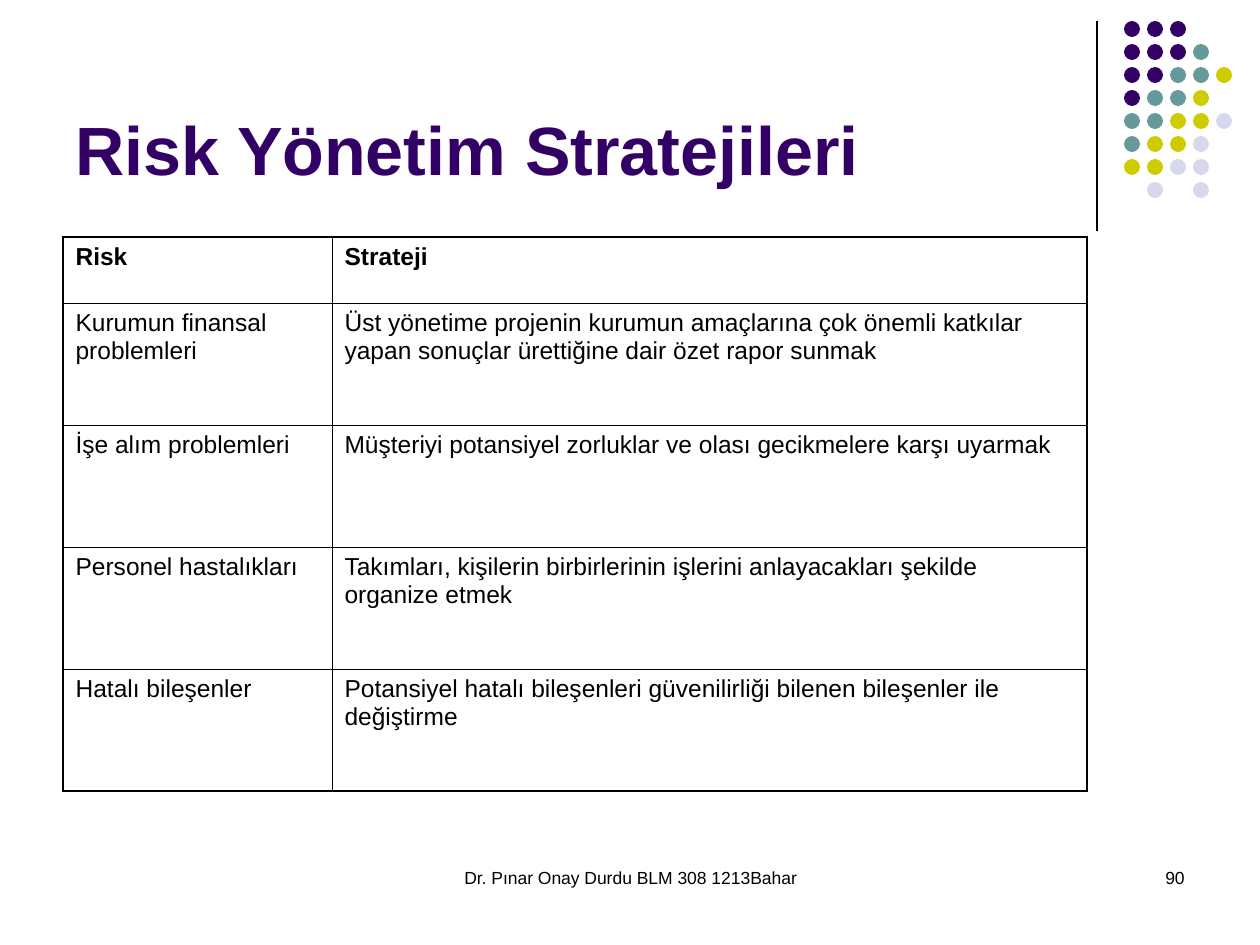
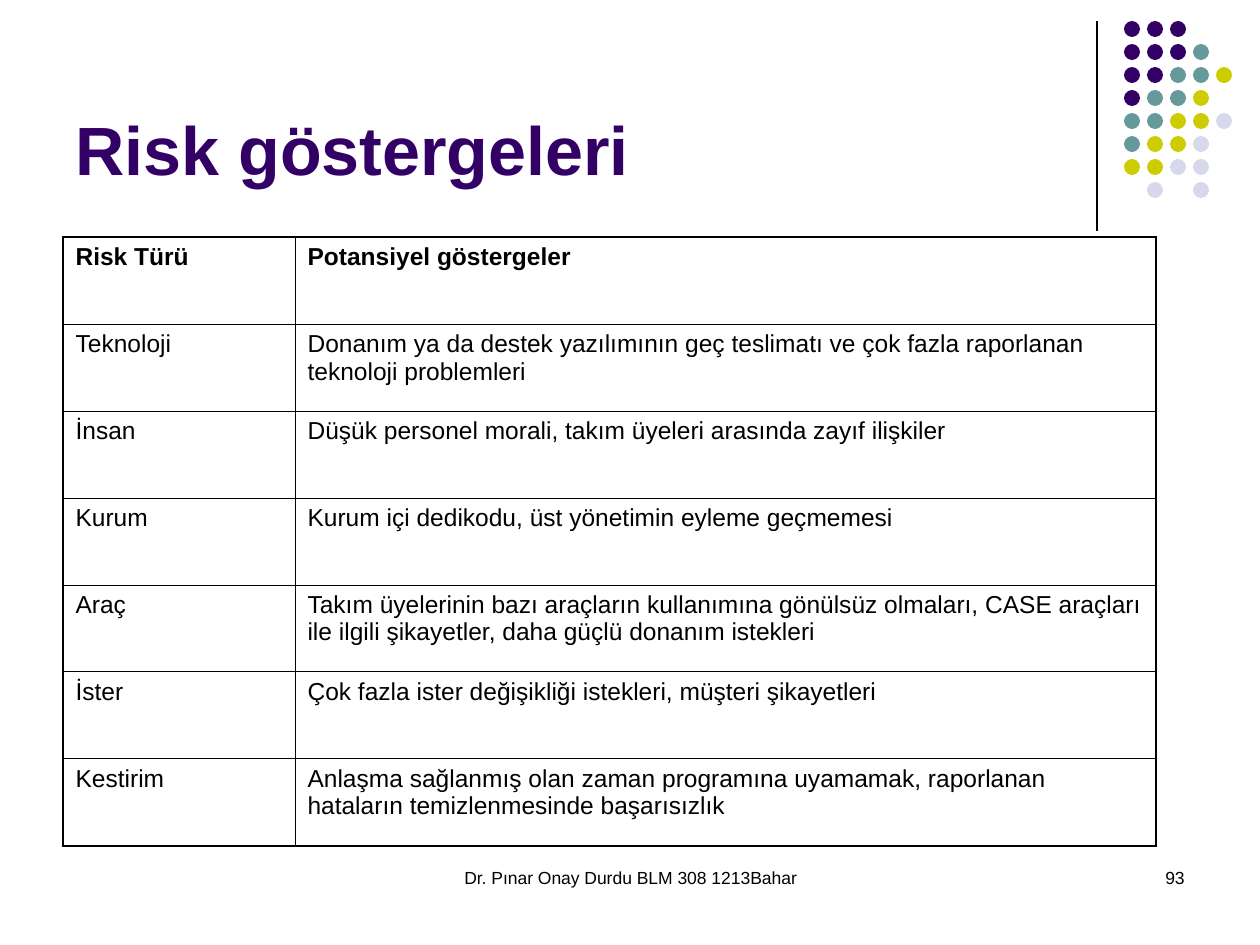
from lxml import etree
from pptx import Presentation
from pptx import util as u
from pptx.dml.color import RGBColor
from pptx.enum import shapes, text
from pptx.oxml.ns import qn

SCALE = 914400 / 126  # EMU per pixel
FONT = "Arial"
C = {"purple": "330066", "teal": "669999", "lime": "CCCC00",
     "lilac": "D8D8EC", "black": "000000"}
DOT_COLOURS = {"P": "purple", "T": "teal", "Y": "lime", "L": "lilac"}
DOTS = ["PPP", "PPPT", "PPTTY", "PTTY", "TTYYL", "TYYL", "YYLL", ".L.L"]
DOT_X, DOT_Y, DOT_PITCH, DOT_SIZE = 1124, 21, 23, 16
TABLE_X, TABLE_Y = 63, 237
OUTER, INNER = 1.08, 0.45  # table border widths in points
FOOTER = "Dr. Pınar Onay Durdu BLM 308 1213Bahar"

SLIDES = [
    {"title": "Risk Yönetim Stratejileri", "number": "90",
     "cols": [269, 755], "rows": [66] + [122] * 4,
     "cells": [
         ("Risk", "Strateji"),
         ("Kurumun finansal problemleri",
          "Üst yönetime projenin kurumun amaçlarına çok önemli katkılar "
          "yapan sonuçlar ürettiğine dair özet rapor sunmak"),
         ("İşe alım problemleri",
          "Müşteriyi potansiyel zorluklar ve olası gecikmelere karşı uyarmak"),
         ("Personel hastalıkları",
          "Takımları, kişilerin birbirlerinin işlerini anlayacakları şekilde "
          "organize etmek"),
         ("Hatalı bileşenler",
          "Potansiyel hatalı bileşenleri güvenilirliği bilenen bileşenler ile "
          "değiştirme")]},
    {"title": "Risk göstergeleri", "number": "93",
     "cols": [232, 861], "rows": [87] * 7,
     "cells": [
         ("Risk Türü", "Potansiyel göstergeler"),
         ("Teknoloji",
          "Donanım ya da destek yazılımının geç teslimatı ve çok fazla "
          "raporlanan teknoloji problemleri"),
         ("İnsan", "Düşük personel morali, takım üyeleri arasında zayıf ilişkiler"),
         ("Kurum", "Kurum içi dedikodu, üst yönetimin eyleme geçmemesi"),
         ("Araç",
          "Takım üyelerinin bazı araçların kullanımına gönülsüz olmaları, CASE "
          "araçları ile ilgili şikayetler, daha güçlü donanım istekleri"),
         ("İster", "Çok fazla ister değişikliği istekleri, müşteri şikayetleri"),
         ("Kestirim",
          "Anlaşma sağlanmış olan zaman programına uyamamak, raporlanan "
          "hataların temizlenmesinde başarısızlık")]},
]


def px(*lengths):
    """Turn pixel lengths into a list of EMU lengths."""
    return [u.Emu(round(n * SCALE)) for n in lengths]


def write(tf, words, size=10, colour="black", bold=False, before=0,
          align=text.PP_ALIGN.LEFT, anchor=text.MSO_ANCHOR.TOP):
    """Fill a text frame with one formatted paragraph."""
    tf.word_wrap = True
    tf.vertical_anchor = anchor
    p = tf.paragraphs[0]
    p.alignment = align
    p.space_before = u.Pt(before)
    r = p.add_run()
    r.text = words
    r.font.name = FONT
    r.font.size = u.Pt(size)
    r.font.bold = bold
    r.font.color.rgb = RGBColor.from_string(C[colour])


prs = Presentation()
prs.slide_width, prs.slide_height = px(1260, 945)

for page in SLIDES:
    s = prs.slides.add_slide(prs.slide_layouts[6])

    # Corner ornament: vertical rule and dot grid
    rule = s.shapes.add_connector(shapes.MSO_CONNECTOR.STRAIGHT,
                                  *px(1097, 21, 1097, 231))
    rule.line.width = u.Pt(0.74)
    rule.line.color.rgb = RGBColor.from_string(C["black"])
    etree.SubElement(rule._element.spPr, qn("a:effectLst"))
    for i, line in enumerate(DOTS):
        for j, key in enumerate(line):
            if key == ".":
                continue
            dot = s.shapes.add_shape(
                shapes.MSO_SHAPE.OVAL,
                *px(DOT_X + j * DOT_PITCH, DOT_Y + i * DOT_PITCH,
                    DOT_SIZE, DOT_SIZE))
            dot.shadow.inherit = False
            dot.fill.solid()
            dot.fill.fore_color.rgb = RGBColor.from_string(C[DOT_COLOURS[key]])
            dot.line.fill.background()

    # Footer, slide number and title
    footer = s.shapes.add_textbox(*px(431, 861, 399, 63))
    write(footer.text_frame, FOOTER, align=text.PP_ALIGN.CENTER)
    number = s.shapes.add_textbox(*px(903, 861, 294, 63))
    write(number.text_frame, page["number"], align=text.PP_ALIGN.RIGHT)
    title = s.shapes.add_textbox(*px(63, 16, 1040, 179))
    write(title.text_frame, page["title"], size=39, colour="purple", bold=True,
          anchor=text.MSO_ANCHOR.BOTTOM)

    # Table with a heavier outer frame
    cols, rows = page["cols"], page["rows"]
    table = s.shapes.add_table(
        len(rows), len(cols),
        *px(TABLE_X, TABLE_Y, sum(cols), sum(rows))).table
    table.first_row = table.horz_banding = False
    for col, width in zip(table.columns, px(*cols)):
        col.width = width
    for row, height in zip(table.rows, px(*rows)):
        row.height = height
    for i, entries in enumerate(page["cells"]):
        for j, words in enumerate(entries):
            cell = table.cell(i, j)
            write(cell.text_frame, words, size=14, bold=i == 0, before=3.5)
            edges = {"lnL": j == 0, "lnR": j == len(cols) - 1,
                     "lnT": i == 0, "lnB": i == len(rows) - 1}
            tcPr = cell._tc.get_or_add_tcPr()
            for tag, is_outer in edges.items():
                width = u.Pt(OUTER if is_outer else INNER)
                ln = etree.SubElement(tcPr, qn("a:" + tag), w=str(width))
                fill = etree.SubElement(ln, qn("a:solidFill"))
                etree.SubElement(fill, qn("a:srgbClr"), val=C["black"])
            cell.fill.background()

prs.save("out.pptx")
